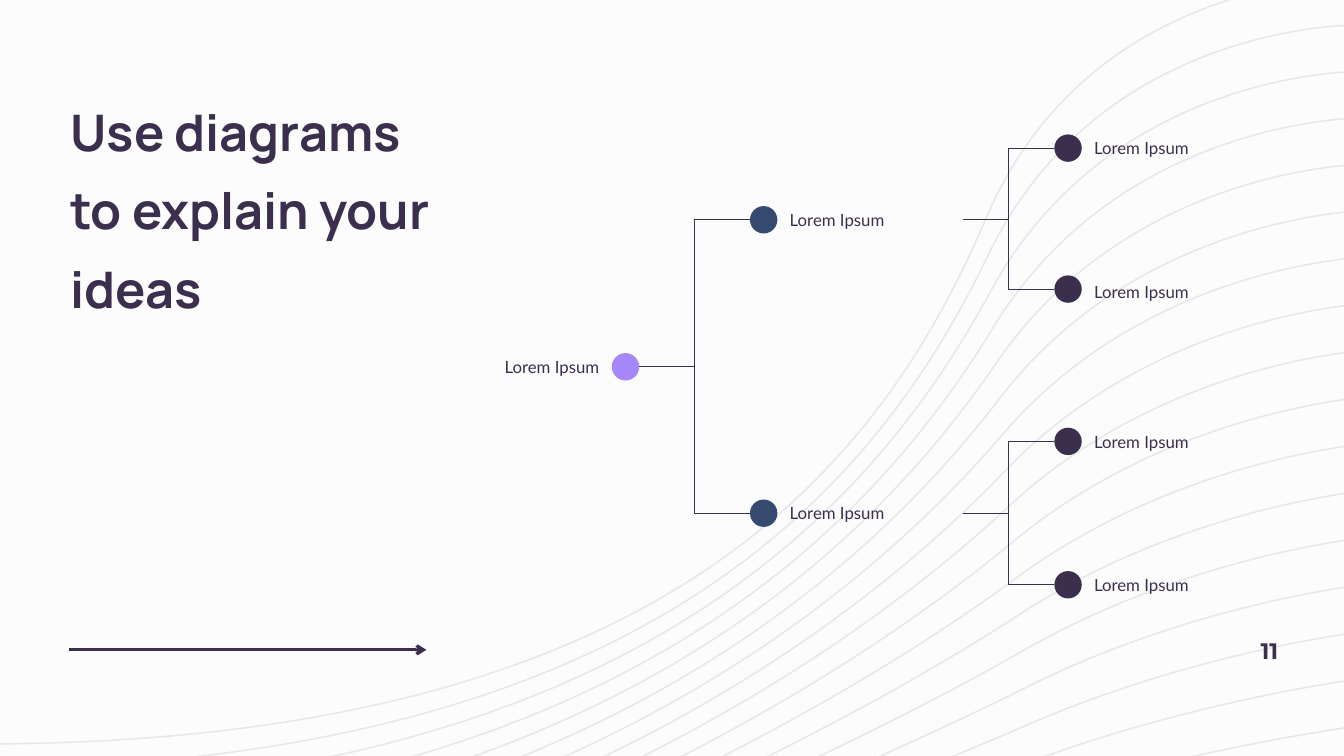
from dataclasses import dataclass
from typing import Iterator

from lxml import etree
from pptx import Presentation
from pptx.dml.color import RGBColor
from pptx.enum import shapes, text
from pptx.oxml import ns
from pptx.util import Pt

INK = "3B2F4E"
WAVE_COUNT = 17
DOT_SIZE = 19.6
LABEL_WIDTH, LABEL_HEIGHT = 132.5, 36


@dataclass(frozen=True)
class WavePoint:
    """Position in the first wave, and its step and bend from wave to wave."""
    x: float
    y: float
    step_x: float
    step_y: float
    bend_x: float = 0
    bend_y: float = 0

    def at(self, index: int) -> tuple[int, int]:
        return (Pt(self.x + self.step_x * index + self.bend_x * index ** 2),
                Pt(self.y + self.step_y * index + self.bend_y * index ** 2))


@dataclass(frozen=True)
class Level:
    dot_left: float
    colour: str
    label_before: bool = False


@dataclass(frozen=True)
class Node:
    caption: str
    depth: int
    y: float
    label_drop: float = 0
    children: tuple["Node", ...] = ()


WAVE_START = WavePoint(967.7, -15.1, 2.43, 33.05)
WAVE_POINTS = (
    WAVE_START,
    WavePoint(779, -19.4, 7.72, 34.15, bend_x=-0.1),
    WavePoint(704.2, 156.2, 1.71, 26.01),
    WavePoint(629.3, 331.9, -5.38, 20.65, bend_x=-0.1, bend_y=-0.09),
    WavePoint(475.2, 531.4, -16.24, 12.24),
    WavePoint(-15.1, 531.4, 3.46, 18.32),
)

LEVELS = (Level(437, "A688FC", label_before=True), Level(535.7, "364A6F"), Level(753.1, INK))

TREE = Node("Lorem Ipsum", 0, 262, children=(
    Node("Lorem Ipsum", 1, 157, children=(
        Node("Lorem Ipsum", 2, 105.8),
        Node("Lorem Ipsum", 2, 206.5, label_drop=1.7))),
    Node("Lorem Ipsum", 1, 366.6, children=(
        Node("Lorem Ipsum", 2, 315.3),
        Node("Lorem Ipsum", 2, 417.7))),
))


def rgb(colour: str) -> RGBColor:
    return RGBColor.from_string(colour)


def add_run(paragraph, words: str, font: str, size: float, bold: bool = False) -> None:
    run = paragraph.add_run()
    run.text = words
    run.font.name = font
    run.font.size = Pt(size)
    run.font.bold = bold
    run.font.color.rgb = rgb(INK)


def add_wave(slide, index: int) -> None:
    builder = slide.shapes.build_freeform(*WAVE_START.at(index), scale=1.0)
    builder.add_line_segments([point.at(index) for point in WAVE_POINTS], close=False)
    wave = builder.convert_to_shape()
    wave.shadow.inherit = False
    wave.fill.background()
    wave.line.width = Pt(1.1)
    wave.line.color.rgb = rgb(INK)

    # Each three straight segments become one cubic curve.
    outline = wave.element.find(".//" + ns.qn("a:path"))
    segments = outline.findall(ns.qn("a:lnTo"))
    for first in range(0, len(segments), 3):
        curve = etree.SubElement(outline, ns.qn("a:cubicBezTo"))
        for segment in segments[first:first + 3]:
            curve.append(segment[0])
            outline.remove(segment)

    ink = wave.element.find(".//" + ns.qn("a:ln")).find(".//" + ns.qn("a:srgbClr"))
    etree.SubElement(ink, ns.qn("a:alpha"), val="10000")


def add_link(slide, kind, begin: tuple[float, float], end: tuple[float, float],
             width: float, arrow: bool = False) -> None:
    link = slide.shapes.add_connector(kind, *map(Pt, begin + end))
    link.line.width = Pt(width)
    link.line.color.rgb = rgb(INK)
    if arrow:
        etree.SubElement(link.element.spPr.find(ns.qn("a:ln")), ns.qn("a:tailEnd"), type="arrow")
    etree.SubElement(link.element.spPr, ns.qn("a:effectLst"))


def walk(node: Node) -> Iterator[Node]:
    yield node
    for child in node.children:
        yield from walk(child)


def add_branches(slide, node: Node) -> None:
    level = LEVELS[node.depth]
    right = level.dot_left + DOT_SIZE + (0 if level.label_before else LABEL_WIDTH)
    for child in node.children:
        add_link(slide, shapes.MSO_CONNECTOR.ELBOW, (right, node.y),
                 (LEVELS[child.depth].dot_left, child.y), 0.75)


def add_node(slide, node: Node) -> None:
    level = LEVELS[node.depth]
    label_left = level.dot_left + (-LABEL_WIDTH if level.label_before else DOT_SIZE)
    label = slide.shapes.add_shape(
        shapes.MSO_SHAPE.ROUNDED_RECTANGLE, Pt(label_left),
        Pt(node.y + node.label_drop - LABEL_HEIGHT / 2), Pt(LABEL_WIDTH), Pt(LABEL_HEIGHT))
    label.shadow.inherit = False
    label.fill.background()
    label.line.fill.background()
    frame = label.text_frame
    frame.margin_left = frame.margin_right = frame.margin_top = frame.margin_bottom = Pt(7.2)
    frame.vertical_anchor = text.MSO_ANCHOR.MIDDLE
    caption = frame.paragraphs[0]
    caption.alignment = text.PP_ALIGN.RIGHT if level.label_before else text.PP_ALIGN.LEFT
    add_run(caption, node.caption, "Lato", 12)

    dot = slide.shapes.add_shape(shapes.MSO_SHAPE.OVAL, Pt(level.dot_left),
                                 Pt(node.y - DOT_SIZE / 2), Pt(DOT_SIZE), Pt(DOT_SIZE))
    dot.shadow.inherit = False
    dot.fill.solid()
    dot.fill.fore_color.rgb = rgb(level.colour)
    dot.line.fill.background()


def add_page_number(slide) -> None:
    page = slide.shapes.add_textbox(Pt(864), Pt(450), Pt(56), Pt(28.8))
    page.text_frame.word_wrap = True
    page.text_frame.vertical_anchor = text.MSO_ANCHOR.MIDDLE
    number = page.text_frame.paragraphs[0]
    number.alignment = text.PP_ALIGN.RIGHT
    add_run(number, "11", "Montserrat", 16, bold=True)


def set_title(slide) -> None:
    title = slide.shapes.title
    title.left, title.top, title.width, title.height = map(Pt, (50.4, 59, 304.6, 157.7))
    frame = title.text_frame
    frame.margin_left = frame.margin_right = frame.margin_top = frame.margin_bottom = 0
    frame.word_wrap = True
    frame.auto_size = text.MSO_AUTO_SIZE.NONE
    frame.vertical_anchor = text.MSO_ANCHOR.TOP
    heading = frame.paragraphs[0]
    heading.alignment = text.PP_ALIGN.LEFT
    heading.line_spacing = 1.3
    heading.space_before = Pt(0)
    add_run(heading, "Use diagrams", "Manrope", 36, bold=True)
    heading.add_line_break()
    add_run(heading, "to explain your ideas", "Manrope", 36, bold=True)


def main() -> None:
    deck = Presentation()
    deck.slide_width, deck.slide_height = Pt(960), Pt(540)
    slide = deck.slides.add_slide(deck.slide_layouts.get_by_name("Title Only"))
    slide.background.fill.solid()
    slide.background.fill.fore_color.rgb = rgb("FCFCFC")
    for index in range(WAVE_COUNT):
        add_wave(slide, index)
    add_link(slide, shapes.MSO_CONNECTOR.STRAIGHT, (49, 464.2), (304.5, 464.2), 2.25, arrow=True)
    add_page_number(slide)
    set_title(slide)
    for node in walk(TREE):
        add_branches(slide, node)
    for node in walk(TREE):
        add_node(slide, node)
    deck.save("out.pptx")


if __name__ == "__main__":
    main()
